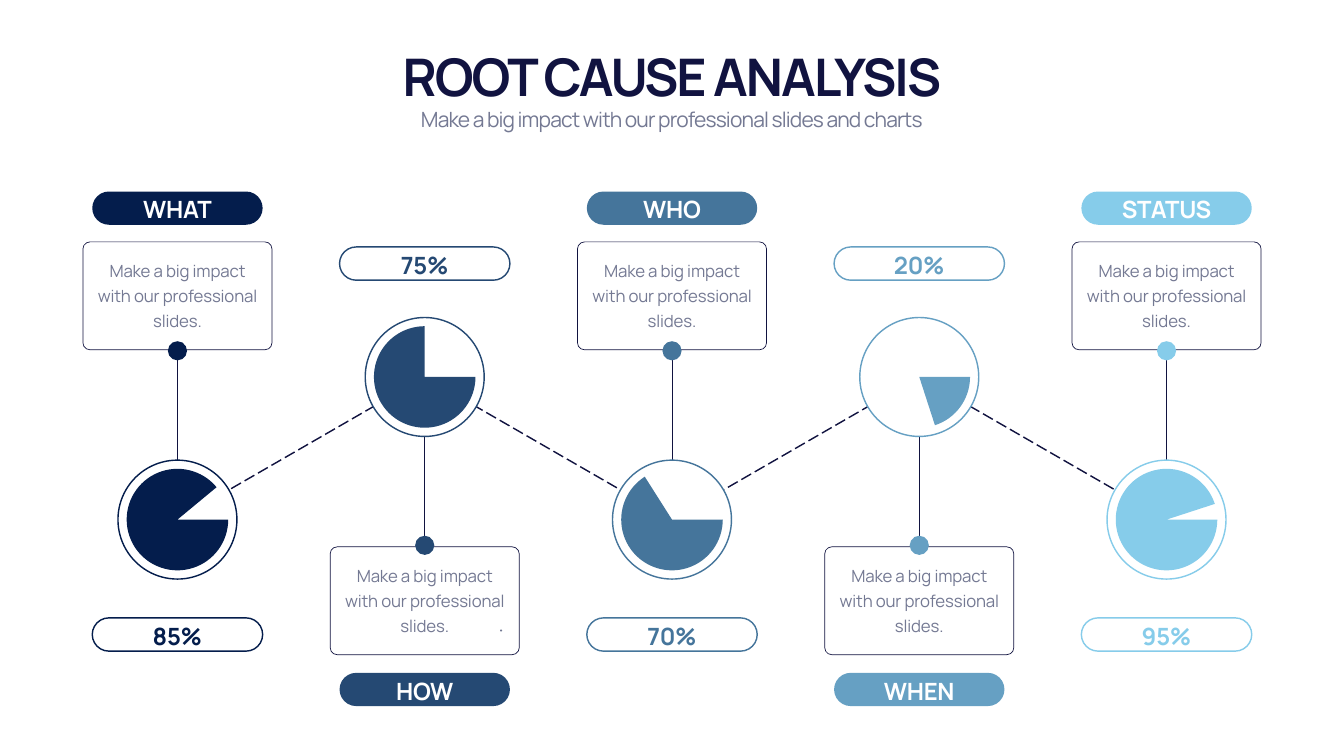
from lxml.etree import SubElement
from pptx import Presentation
from pptx.chart.data import CategoryChartData
from pptx.dml.color import RGBColor
from pptx.enum.chart import XL_CHART_TYPE
from pptx.enum.dml import MSO_LINE
from pptx.enum.shapes import MSO_CONNECTOR, MSO_SHAPE
from pptx.enum.text import MSO_ANCHOR, MSO_AUTO_SIZE, PP_ALIGN
from pptx.oxml import parse_xml
from pptx.oxml.ns import nsdecls, qn
from pptx.util import Inches, Pt

NAVY, GRAY, WHITE = "111340", "747993", "FFFFFF"
FIRST_CENTER, COLUMN_STEP = 3.52, 4.905
CARD_TEXT = "Make a big impact with our professional slides."
TITLE_STYLE = {"size": Pt(74), "bold": True}
SUBTITLE_STYLE = {"size": Pt(30), "bold": False}
PILL_STYLE = {"size": Pt(34), "bold": True}
CARD_STYLE = {"size": Pt(24), "bold": False}

# Heights of the parts in a column with its pie low, and with its pie high
LOW_PIE = {"label": 3.8, "card": 4.8, "node": 6.96, "stem": 9.13, "pie": 10.31, "percent": 12.26}
HIGH_PIE = {"label": 13.35, "card": 10.85, "node": 10.82, "stem": 8.66, "pie": 7.48, "percent": 4.9}

# label, shown percentage, pie value, colour
CAUSES = [
    ("WHAT", "85%", 89, "041D4C"),
    ("HOW", "75%", 75, "254973"),
    ("WHO", "70%", 66, "45759B"),
    ("WHEN", "20%", 20, "66A0C3"),
    ("STATUS", "95%", 95, "86CCEA"),
]


def add_centered(kind, center, top, width, height, fill=None, line=None, weight=2):
    """Add a shape around a vertical axis; a colour of None leaves that part empty."""
    shape = slide.shapes.add_shape(
        kind, Inches(center - width / 2), Inches(top), Inches(width), Inches(height))
    shape.shadow.inherit = False
    if fill:
        shape.fill.solid()
        shape.fill.fore_color.rgb = RGBColor.from_string(fill)
    else:
        shape.fill.background()
    if line:
        shape.line.color.rgb = RGBColor.from_string(line)
        shape.line.width = Pt(weight)
    else:
        shape.line.fill.background()
    return shape


def write_text(shape, text, color, style, spacing, margins=(0.1, 0.05, 0.1, 0.05),
               anchor=MSO_ANCHOR.MIDDLE, line_spacing=None):
    frame = shape.text_frame
    left, top, right, bottom = (Inches(margin) for margin in margins)
    settings = {"margin_left": left, "margin_top": top, "margin_right": right,
                "margin_bottom": bottom, "vertical_anchor": anchor,
                "word_wrap": True, "auto_size": MSO_AUTO_SIZE.NONE}
    for name, value in settings.items():
        setattr(frame, name, value)
    paragraph = frame.paragraphs[0]
    paragraph.alignment = PP_ALIGN.CENTER
    paragraph.space_before = Pt(0)
    paragraph.line_spacing = line_spacing or 1.0
    run = paragraph.add_run()
    run.text = text
    run.font.name = "Manrope"
    run.font.color.rgb = RGBColor.from_string(color)
    for name, value in style.items():
        setattr(run.font, name, value)
    run.font._element.set("spc", str(round(spacing * 100)))


presentation = Presentation()
presentation.slide_width = Inches(26.66)
presentation.slide_height = Inches(15)
slide = presentation.slides.add_slide(presentation.slide_layouts[0])

# Title and subtitle
title, subtitle = slide.placeholders
for placeholder, top, height in ((title, 0.82, 1.35), (subtitle, 2.07, 0.61)):
    placeholder.left, placeholder.top = Inches(1.66), Inches(top)
    placeholder.width, placeholder.height = Inches(23.33), Inches(height)
write_text(title, "ROOT CAUSE ANALYSIS", NAVY, TITLE_STYLE, -2.9, anchor=MSO_ANCHOR.BOTTOM)
write_text(subtitle, "Make a big impact with our professional slides and charts",
           GRAY, SUBTITLE_STYLE, -1.2, anchor=MSO_ANCHOR.TOP)

# Dashed zigzag through the pie centres
columns = [(FIRST_CENTER + COLUMN_STEP * index, HIGH_PIE if index % 2 else LOW_PIE)
           for index in range(len(CAUSES))]
points = [(Inches(center), Inches(heights["pie"])) for center, heights in columns]
builder = slide.shapes.build_freeform(*points[0])
builder.add_line_segments(points[1:], close=False)
zigzag = builder.convert_to_shape()
zigzag.shadow.inherit = False
zigzag.fill.background()
zigzag.line.color.rgb = RGBColor.from_string(NAVY)
zigzag.line.width = Pt(2)
zigzag.line.dash_style = MSO_LINE.LONG_DASH

for (center, heights), (label, percent, value, color) in zip(columns, CAUSES):
    stem = slide.shapes.add_connector(
        MSO_CONNECTOR.STRAIGHT, Inches(center), Inches(heights["node"]),
        Inches(center), Inches(heights["stem"]))
    stem.line.color.rgb = RGBColor.from_string(NAVY)
    stem.line.width = Pt(1)
    SubElement(stem._element.spPr, qn("a:effectLst"))

    card = add_centered(MSO_SHAPE.ROUNDED_RECTANGLE, center, heights["card"], 3.75, 2.14,
                        line=NAVY, weight=1)
    card.adjustments[0] = 0.065
    write_text(card, CARD_TEXT, GRAY, CARD_STYLE, -0.2, (0.24, 0, 0.24, 0.1),
               line_spacing=Pt(36))
    add_centered(MSO_SHAPE.OVAL, center, heights["node"] - 0.19, 0.38, 0.38, fill=color)
    add_centered(MSO_SHAPE.OVAL, center, heights["pie"] - 1.18, 2.36, 2.36,
                 fill=WHITE, line=color)

    label_pill = add_centered(MSO_SHAPE.ROUNDED_RECTANGLE, center, heights["label"],
                              3.38, 0.66, fill=color)
    percent_pill = add_centered(MSO_SHAPE.ROUNDED_RECTANGLE, center, heights["percent"],
                                3.38, 0.66, line=color)
    for pill, text, text_color in ((label_pill, label, WHITE), (percent_pill, percent, color)):
        pill.adjustments[0] = 0.5
        write_text(pill, text, text_color, PILL_STYLE, -0.3, (0, 0.05, 0, 0))

    chart_data = CategoryChartData()
    chart_data.categories = ["1", "2"]
    chart_data.add_series("Series 1", (value, 100 - value))
    chart = slide.shapes.add_chart(
        XL_CHART_TYPE.PIE, Inches(center - 1.145), Inches(heights["pie"] - 1.145),
        Inches(2.29), Inches(2.29), chart_data).chart
    chart.has_legend = False
    chart.has_title = False
    chart.font.name = "Calibri"
    chart.font.size = Pt(10)
    chart.font.color.rgb = RGBColor.from_string(GRAY)
    plot = chart.plots[0]
    plot.vary_by_categories = False
    filled, empty = (plot.series[0].points[index].format for index in range(2))
    filled.fill.solid()
    filled.fill.fore_color.rgb = RGBColor.from_string(color)
    empty.fill.background()
    for part in (filled, empty):
        part.line.fill.background()
    pie = plot._element
    for angle in pie.findall(qn("c:firstSliceAng")):
        pie.remove(angle)
    SubElement(pie, qn("c:firstSliceAng")).set("val", "90")
    plot_area = pie.getparent()
    for layout in plot_area.findall(qn("c:layout")):
        plot_area.remove(layout)
    plot_area.insert(0, parse_xml(
        f'<c:layout {nsdecls("c")}><c:manualLayout><c:layoutTarget val="inner"/>'
        '<c:xMode val="edge"/><c:yMode val="edge"/><c:x val="0.06"/><c:y val="0.06"/>'
        '<c:w val="0.88"/><c:h val="0.88"/></c:manualLayout></c:layout>'))

# Small dot in the second card
add_centered(MSO_SHAPE.OVAL, 9.94, 12.49, 0.04, 0.04, fill="747A94")

presentation.save("out.pptx")
